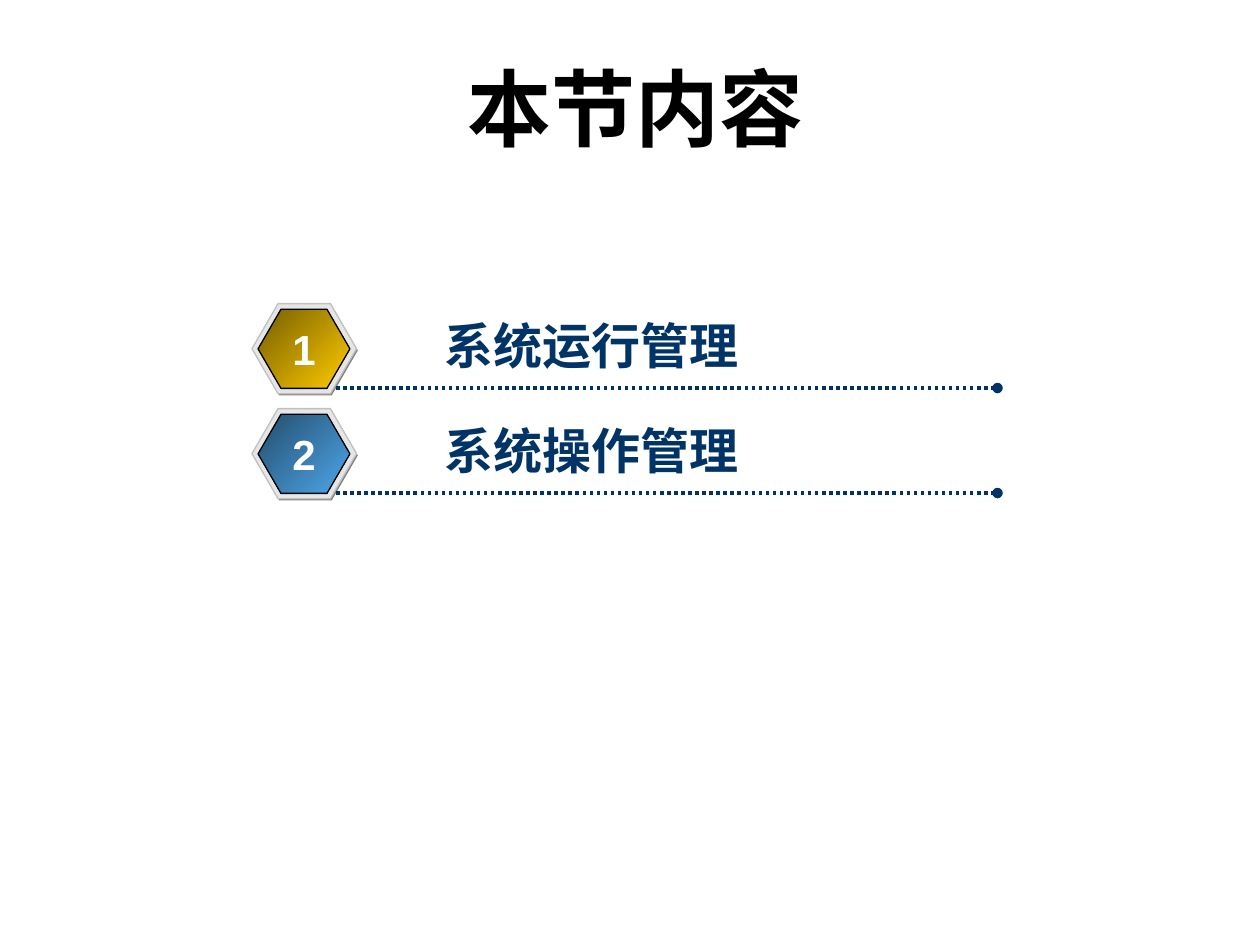
from lxml import etree
from pptx import Presentation
from pptx.dml.color import RGBColor
from pptx.enum import dml, shapes, text
from pptx.oxml import ns
from pptx.util import Pt

BLACK = RGBColor(0x00, 0x00, 0x00)
WHITE = RGBColor(0xFF, 0xFF, 0xFF)
NAVY = RGBColor(0x00, 0x33, 0x66)
SHADOW_GRAY = RGBColor(0x80, 0x80, 0x80)
RIM_GRAY = RGBColor(0xE6, 0xE6, 0xE6)
RIM_LINE = RGBColor(0xC0, 0xC0, 0xC0)
DARK_GOLD = RGBColor(0x76, 0x5E, 0x00)
GOLD = RGBColor(0xFF, 0xCC, 0x00)
DARK_BLUE = RGBColor(0x24, 0x4D, 0x6C)
BLUE = RGBColor(0x4E, 0xA7, 0xEA)

LATIN_FONT = "Arial"
CHINESE_FONT = "Noto Sans CJK SC"

ITEMS = [
    ("1", "系统运行管理", DARK_GOLD, GOLD),
    ("2", "系统操作管理", DARK_BLUE, BLUE),
]
ROW_PITCH = 60


def add_text(slide, box, content, size, color, font=LATIN_FONT, centered=False,
             anchor=text.MSO_ANCHOR.TOP, margins=(7.2, 3.6), wrap=False):
    """Place one bold line of text in box (left, top, width, height)."""
    frame = slide.shapes.add_textbox(*map(Pt, box)).text_frame
    frame.word_wrap = wrap
    frame.vertical_anchor = anchor
    frame.margin_left = frame.margin_right = Pt(margins[0])
    frame.margin_top = frame.margin_bottom = Pt(margins[1])
    frame.text = content
    paragraph = frame.paragraphs[0]
    paragraph.alignment = text.PP_ALIGN.CENTER if centered else text.PP_ALIGN.LEFT
    run = paragraph.runs[0]
    run.font.size = Pt(size)
    run.font.bold = True
    run.font.name = font
    run.font.color.rgb = color
    properties = run.font._element
    east_asian = etree.SubElement(properties, ns.qn("a:ea"))
    east_asian.set("typeface", CHINESE_FONT)


def add_hexagon(slide, box, fill, line=None):
    """Add a hexagon; fill is one colour or a (start, end) gradient pair."""
    shape = slide.shapes.add_shape(shapes.MSO_SHAPE.HEXAGON, *map(Pt, box))
    shape.shadow.inherit = False
    shape.adjustments[0] = 0.29
    if isinstance(fill, RGBColor):
        shape.fill.solid()
        shape.fill.fore_color.rgb = fill
    else:
        shape.fill.gradient()
        shape.fill.gradient_angle = 315
        for stop, position, color in zip(shape.fill.gradient_stops, (0, 1), fill):
            stop.position = position
            stop.color.rgb = color
    if line is None:
        shape.line.fill.background()
    else:
        shape.line.color.rgb = line
        shape.line.width = Pt(0.75)


def add_dotted_rule(slide, left, top, width):
    """Add a dotted horizontal line that ends in a dot."""
    rule = slide.shapes.add_connector(
        shapes.MSO_CONNECTOR.STRAIGHT, Pt(left), Pt(top), Pt(left + width), Pt(top))
    rule.line.color.rgb = NAVY
    rule.line.width = Pt(2)
    rule.line.dash_style = dml.MSO_LINE.ROUND_DOT
    tail = etree.SubElement(rule.line._get_or_add_ln(), ns.qn("a:tailEnd"))
    tail.set("type", "oval")
    etree.SubElement(rule._element.spPr, ns.qn("a:effectLst"))


def add_title(slide, left, top, width, height):
    add_text(slide, (left, top, width, height), "本节内容", 48, BLACK, CHINESE_FONT,
             centered=True, anchor=text.MSO_ANCHOR.MIDDLE, margins=(0, 0), wrap=True)


def add_agenda_row(slide, left, top, number, label, dark, light):
    # Numbered badge: shadow, rim and coloured face
    add_hexagon(slide, (left + 0.75, top + 1, 59.75, 51.5), SHADOW_GRAY)
    add_hexagon(slide, (left, top, 59.75, 51.5), RIM_GRAY, RIM_LINE)
    add_hexagon(slide, (left + 3.5, top + 3.25, 52.5, 45.25), (dark, light), BLACK)

    # Rule and wording
    add_dotted_rule(slide, left + 48, top + 48.25, 378)
    add_text(slide, (left + 103, top + 3.5, 182, 41), label, 28, NAVY)
    add_text(slide, (left + 16, top + 8, 27, 36), number, 24, WHITE, centered=True)


def add_agenda(slide, left, top):
    for index, item in enumerate(ITEMS):
        add_agenda_row(slide, left, top + index * ROW_PITCH, *item)


def main():
    presentation = Presentation()
    presentation.slide_width = Pt(720)
    presentation.slide_height = Pt(540)
    slide = presentation.slides.add_slide(presentation.slide_layouts[6])
    add_title(slide, 60, 42, 606, 38)
    add_agenda(slide, 144, 173.5)
    presentation.save("out.pptx")


if __name__ == "__main__":
    main()
